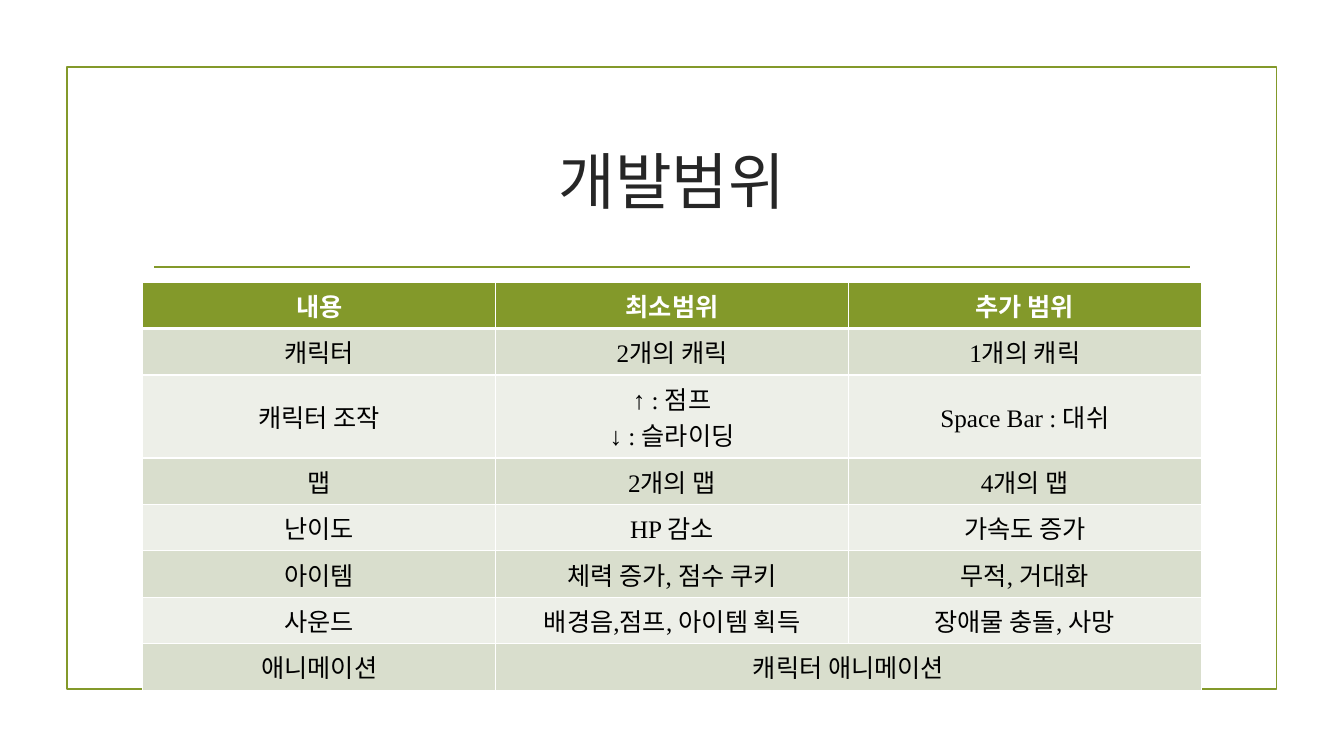
import lxml.etree
import pptx
import pptx.dml.color
import pptx.enum.shapes
import pptx.enum.text
import pptx.oxml.ns
import pptx.util

Cm, Pt = pptx.util.Cm, pptx.util.Pt
qn = pptx.oxml.ns.qn
MIDDLE = pptx.enum.text.MSO_ANCHOR.MIDDLE
TOP = pptx.enum.text.MSO_ANCHOR.TOP

COLORS = {
    "olive": "83992A",
    "title": "262626",
    "white": "FFFFFF",
    "black": "000000",
    "dark band": "D9DECD",
    "light band": "EDEFE8",
}
SCOPE = [
    ["내용", "최소범위", "추가 범위"],
    ["캐릭터", "2개의 캐릭", "1개의 캐릭"],
    ["캐릭터 조작", "↑ : 점프\n↓ : 슬라이딩", "Space Bar : 대쉬"],
    ["맵", "2개의 맵", "4개의 맵"],
    ["난이도", "HP 감소", "가속도 증가"],
    ["아이템", "체력 증가, 점수 쿠키", "무적, 거대화"],
    ["사운드", "배경음,점프, 아이템 획득", "장애물 충돌, 사망"],
    ["애니메이션", "캐릭터 애니메이션", ""],
]


def rgb(name):
    return pptx.dml.color.RGBColor.from_string(COLORS[name])


def write_centred(frame, text, color, font_format):
    """Fill a text frame with centred lines in one font format."""
    frame.text = text
    for paragraph in frame.paragraphs:
        paragraph.alignment = pptx.enum.text.PP_ALIGN.CENTER
        for run in paragraph.runs:
            run.font.color.rgb = rgb(color)
            for attribute, value in font_format.items():
                setattr(run.font, attribute, value)


deck = pptx.Presentation()
deck.slide_width, deck.slide_height = Cm(33.87), Cm(19.05)
slide = deck.slides.add_slide(deck.slide_layouts[6])

border = slide.shapes.add_shape(
    pptx.enum.shapes.MSO_SHAPE.RECTANGLE, Cm(1.69), Cm(1.69), Cm(30.48), Cm(15.67))
border.shadow.inherit = False
border.fill.background()

divider = slide.shapes.add_connector(
    pptx.enum.shapes.MSO_CONNECTOR.STRAIGHT, Cm(3.89), Cm(6.73), Cm(30), Cm(6.73))
lxml.etree.SubElement(divider._element.spPr, qn("a:effectLst"))

for outline in (border.line, divider.line):
    outline.color.rgb = rgb("olive")
    outline.width = Pt(1.25)

title = slide.shapes.add_textbox(Cm(3.6), Cm(2.72), Cm(26.67), Cm(3.63)).text_frame
title.word_wrap = True
title.vertical_anchor = MIDDLE
write_centred(title, "개발범위", "title", {"name": "Times New Roman", "size": Pt(44)})

table = slide.shapes.add_table(
    len(SCOPE), 3, Cm(3.6), Cm(7.11), Cm(26.67), Cm(10.28)).table
for column in table.columns:
    column.width = Cm(8.89)

for r, row in enumerate(SCOPE):
    is_header = r == 0
    has_two_lines = any("\n" in entry for entry in row)
    band = "olive" if is_header else "dark band" if r % 2 else "light band"
    # The rule between header and body is thicker than the others.
    border_widths = {"L": 1, "R": 1, "T": 2 if r == 1 else 1, "B": 2 if is_header else 1}
    table.rows[r].height = Cm(2.09 if has_two_lines else 1.17)
    for c, text in enumerate(row):
        cell = table.cell(r, c)
        write_centred(cell.text_frame, text, "white" if is_header else "black",
                      {"name": "Times New Roman", "size": Pt(18), "bold": is_header})
        cell.vertical_anchor = MIDDLE if has_two_lines and "\n" not in text else TOP
        properties = cell._tc.get_or_add_tcPr()
        for side, width in border_widths.items():
            edge = lxml.etree.SubElement(properties, qn(f"a:ln{side}"), w=str(Pt(width)))
            edge_fill = lxml.etree.SubElement(edge, qn("a:solidFill"))
            lxml.etree.SubElement(edge_fill, qn("a:srgbClr"), val=COLORS["white"])
        cell.fill.solid()
        cell.fill.fore_color.rgb = rgb(band)

last_row = len(SCOPE) - 1
table.cell(last_row, 1).merge(table.cell(last_row, 2))

deck.save("out.pptx")
